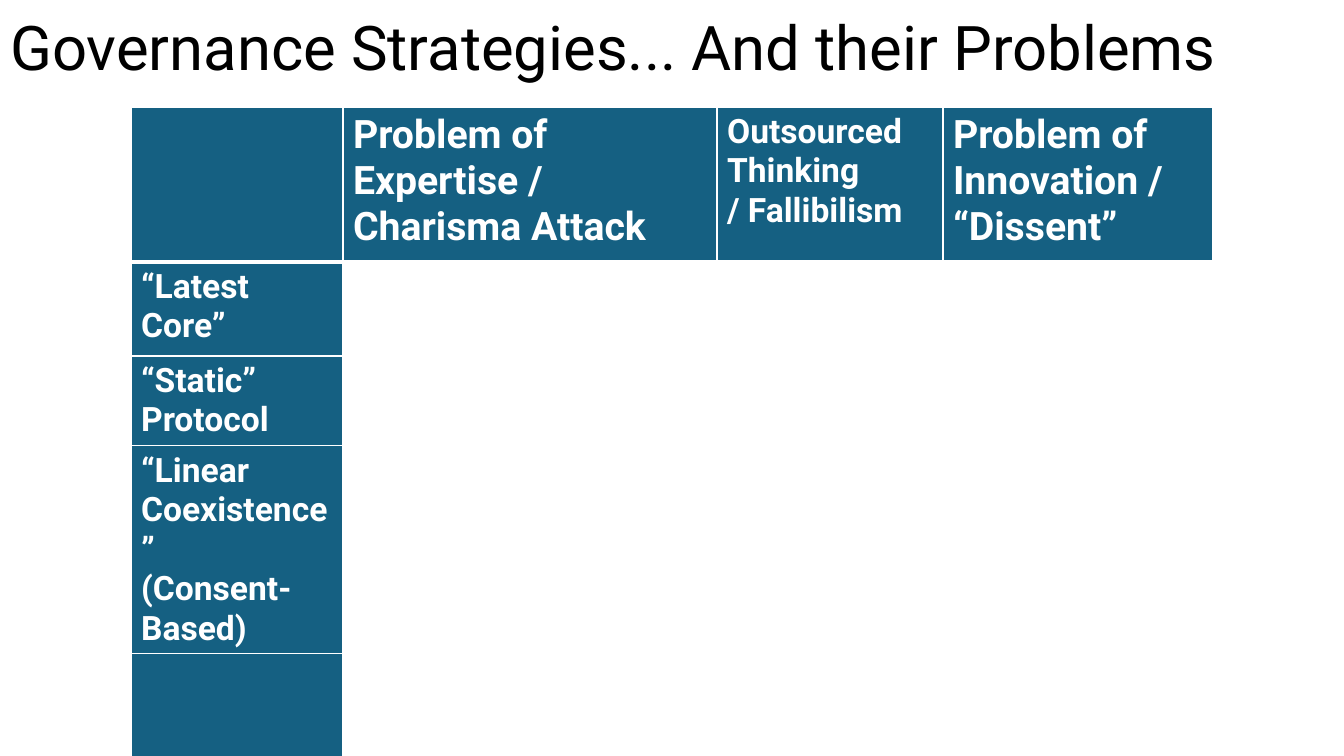
from dataclasses import dataclass

from lxml.etree import SubElement
from pptx import Presentation
from pptx.dml.color import RGBColor
from pptx.enum.text import MSO_ANCHOR as Anchor, MSO_AUTO_SIZE as AutoSize, PP_ALIGN as Align
from pptx.oxml.ns import qn
from pptx.table import _Cell as Cell
from pptx.text.text import _Paragraph as Paragraph
from pptx.util import Emu, Pt

SLIDE_W, SLIDE_H = 1344, 756
EMU_PER_PX = 12192000 / SLIDE_W
COLORS = {"title": "000000", "header": "156082", "header_text": "FFFFFF", "rule": "FFFFFF"}
FONT = "Roboto"
COLUMN_WIDTHS = (212, 374, 226, 270)
ROW_HEIGHTS = (155, 94, 90, 155, 114)


@dataclass(frozen=True)
class Heading:
    lines: tuple[str, ...] = ()
    size: int = 24


PROBLEMS = (
    Heading(),
    Heading(("Problem of Expertise / Charisma Attack",), 28),
    Heading(("Outsourced Thinking", "/ Fallibilism")),
    Heading(("Problem of Innovation / “Dissent”",), 28),
)
STRATEGIES = (
    Heading(("“Latest Core”",)),
    Heading(("“Static” Protocol",)),
    Heading(("“Linear Coexistence”", "(Consent-Based)")),
    Heading(),
)


def px(length: int) -> Emu:
    return Emu(round(length * EMU_PER_PX))


def format_paragraph(paragraph: Paragraph, size: int, color: str, bold: bool) -> None:
    font = paragraph.font
    for name, value in {"name": FONT, "size": Pt(size), "bold": bold}.items():
        setattr(font, name, value)
    font.color.rgb = RGBColor.from_string(COLORS[color])


def draw_borders(cell: Cell, row: int) -> None:
    """Rule every side in white, with a thicker line under the header row."""
    widths = {"lnL": 1, "lnR": 1, "lnT": 3 if row == 1 else 1, "lnB": 3 if row == 0 else 1}
    properties = cell._tc.get_or_add_tcPr()
    for side, width in widths.items():
        line = SubElement(properties, qn(f"a:{side}"), w=str(Pt(width)))
        fill = SubElement(line, qn("a:solidFill"))
        SubElement(fill, qn("a:srgbClr"), val=COLORS["rule"])


def draw_heading(cell: Cell, heading: Heading) -> None:
    cell.fill.solid()
    cell.fill.fore_color.rgb = RGBColor.from_string(COLORS["header"])
    cell.text_frame.text = "\n".join(heading.lines)
    for paragraph in cell.text_frame.paragraphs:
        format_paragraph(paragraph, heading.size, "header_text", True)


def main() -> None:
    deck = Presentation()
    deck.slide_width, deck.slide_height = px(SLIDE_W), px(SLIDE_H)
    slide = deck.slides.add_slide(deck.slide_layouts[5])

    title = slide.shapes.title
    for name, value in {"left": 0, "top": 5, "width": 1230, "height": 92}.items():
        setattr(title, name, px(value))
    frame = title.text_frame
    frame.text = "Governance Strategies... And their Problems"
    frame_format = {"vertical_anchor": Anchor.MIDDLE, "auto_size": AutoSize.NONE, "word_wrap": True}
    for name, value in frame_format.items():
        setattr(frame, name, value)
    headline = frame.paragraphs[0]
    headline.alignment, headline.line_spacing = Align.LEFT, 0.9
    format_paragraph(headline, 44, "title", False)

    governance = slide.shapes.add_table(
        len(ROW_HEIGHTS), len(COLUMN_WIDTHS),
        px(131), px(107), px(sum(COLUMN_WIDTHS)), px(sum(ROW_HEIGHTS)),
    ).table
    governance.first_col = True
    governance.horz_banding = False
    for column, width in zip(governance.columns, COLUMN_WIDTHS):
        column.width = px(width)
    for row, height in zip(governance.rows, ROW_HEIGHTS):
        row.height = px(height)

    for row in range(len(ROW_HEIGHTS)):
        for column in range(len(COLUMN_WIDTHS)):
            cell = governance.cell(row, column)
            draw_borders(cell, row)
            if row == 0:
                draw_heading(cell, PROBLEMS[column])
            elif column == 0:
                draw_heading(cell, STRATEGIES[row - 1])
            else:
                cell.fill.background()

    deck.save("out.pptx")


if __name__ == "__main__":
    main()
